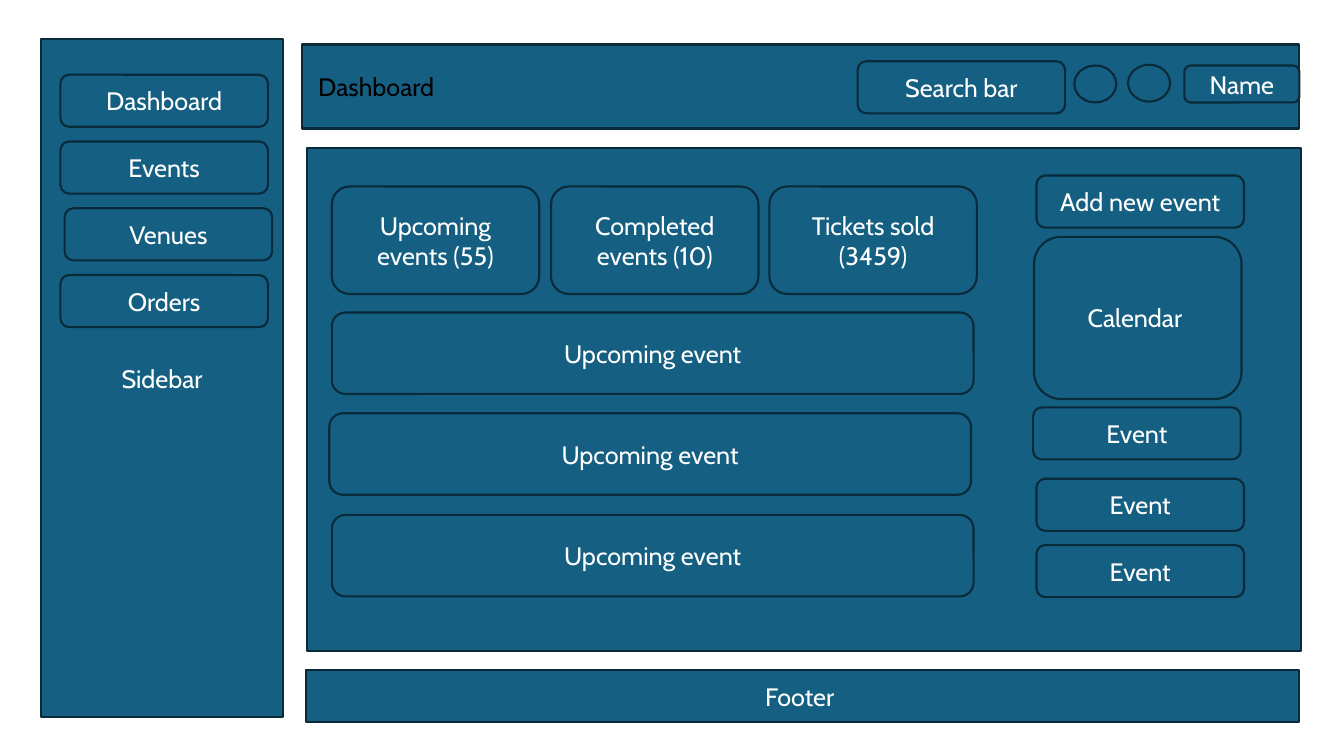
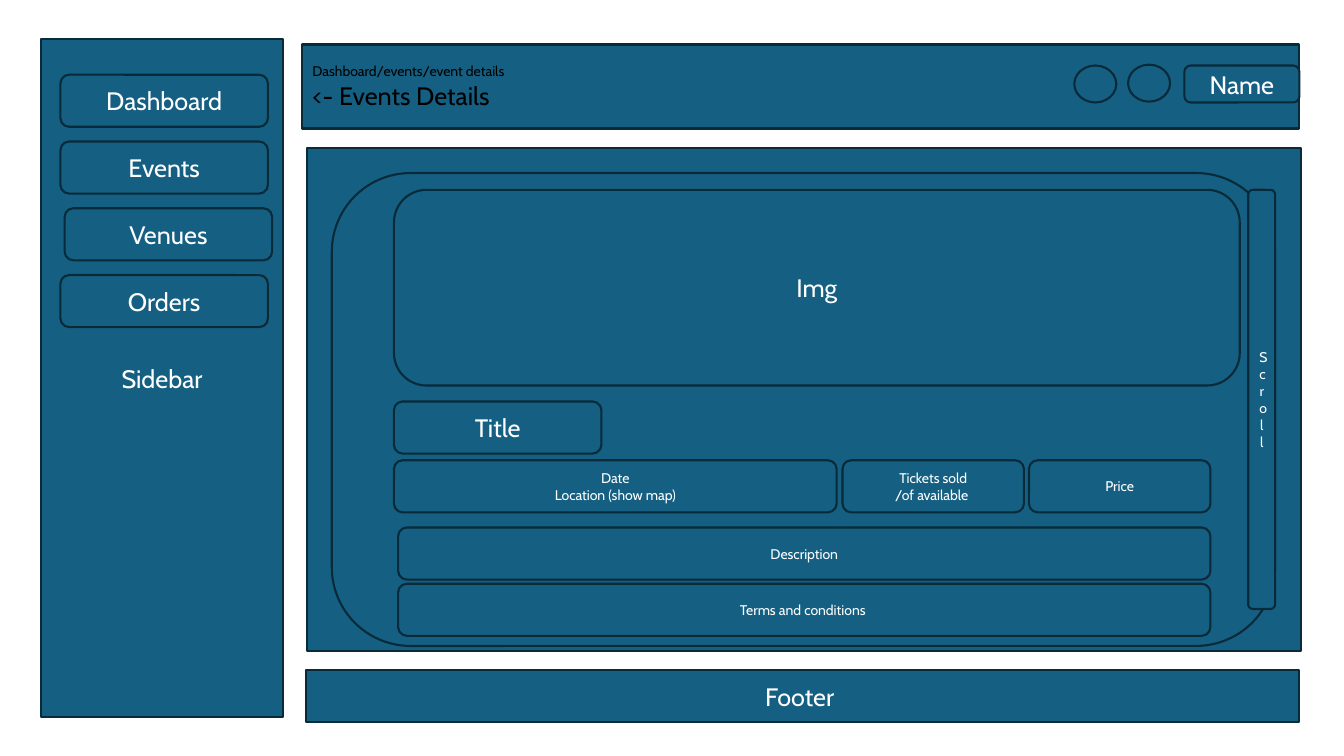
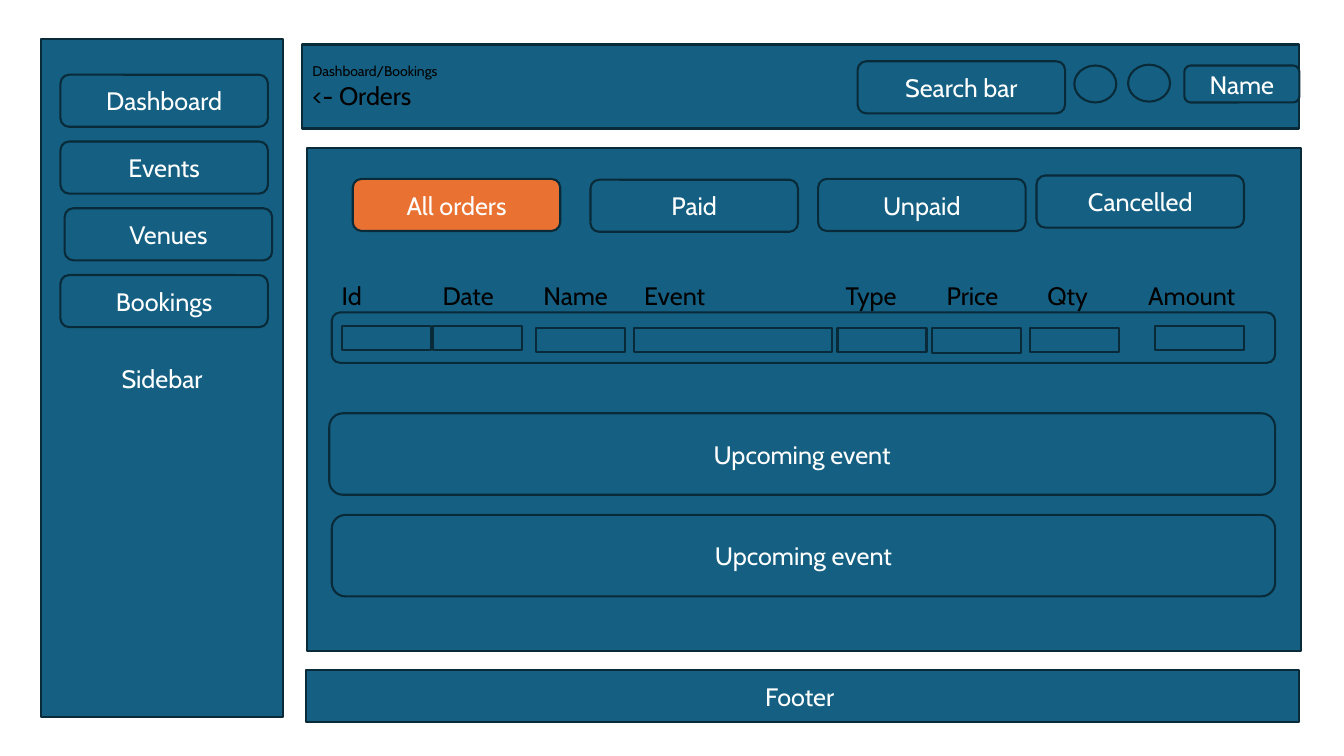
from lxml import etree
from pptx import Presentation
from pptx.dml.color import RGBColor
from pptx.enum.shapes import MSO_SHAPE
from pptx.enum.text import MSO_ANCHOR, MSO_AUTO_SIZE, PP_ALIGN
from pptx.oxml.ns import qn
from pptx.util import Inches, Pt

RECTANGLE = MSO_SHAPE.RECTANGLE
ROUNDED = MSO_SHAPE.ROUNDED_RECTANGLE
OVAL = MSO_SHAPE.OVAL
LEFT = PP_ALIGN.LEFT
CENTER = PP_ALIGN.CENTER
MIDDLE = MSO_ANCHOR.MIDDLE
NO_AUTOFIT = MSO_AUTO_SIZE.NONE

BLUE = RGBColor(0x15, 0x60, 0x82)
NAVY = RGBColor(0x09, 0x2A, 0x39)
ORANGE = RGBColor(0xE9, 0x71, 0x32)
WHITE = RGBColor(0xFF, 0xFF, 0xFF)
BLACK = RGBColor(0x00, 0x00, 0x00)
FONT = "Cabin"
BODY = 18
SMALL = 10

presentation = Presentation()
presentation.slide_width = Inches(13.333)
presentation.slide_height = Inches(7.5)
COLUMN = presentation.slide_width / 160
ROW = presentation.slide_height / 90
TITLE_ONLY = presentation.slide_layouts[5]

BUTTON_WIDTH, BUTTON_HEIGHT = 24.7, 6.2
BAR_HEIGHT = 9.7
CONTENT_LEFT = 39.5
CONTENT_WIDTH = 112.3
BAR_TOPS = [37.2, 49.2, 61.3]
RIGHT_LEFT = 123.4


def write(shape, text, sizes, color, alignment):
    shape.text_frame.text = text
    shape.text_frame.word_wrap = True
    for paragraph, size in zip(shape.text_frame.paragraphs, sizes):
        paragraph.alignment = alignment
        for run in paragraph.runs:
            run.font.name = FONT
            run.font.size = Pt(size)
            run.font.color.rgb = color


def add_box(slide, left, top, width=BUTTON_WIDTH, height=BUTTON_HEIGHT,
            text="", size=BODY, kind=ROUNDED, fill=BLUE):
    shape = slide.shapes.add_shape(
        kind, round(left * COLUMN), round(top * ROW),
        round(width * COLUMN), round(height * ROW))
    shape.shadow.inherit = False
    shape.fill.solid()
    shape.fill.fore_color.rgb = fill
    shape.line.color.rgb = NAVY
    shape.line.width = Pt(1.5)
    shape.text_frame.vertical_anchor = MIDDLE
    write(shape, text, [size, size], WHITE, CENTER)


screens = [
    (" Dashboard", [BODY], "Orders", True),
    ("Dashboard/events/event details\n<- Events Details", [SMALL, BODY], "Orders", False),
    ("Dashboard/Bookings\n<- Orders", [SMALL, BODY], "Bookings", True),
]
for heading, sizes, last_link, has_search in screens:
    slide = presentation.slides.add_slide(TITLE_ONLY)
    header = slide.shapes.title
    header.left, header.top = round(36 * COLUMN), round(5.3 * ROW)
    header.width, header.height = round(118.7 * COLUMN), round(10 * ROW)
    header.fill.solid()
    header.fill.fore_color.rgb = BLUE
    header.line.color.rgb = NAVY
    header.line.width = Pt(1.5)
    header.text_frame.vertical_anchor = MIDDLE
    header.text_frame.auto_size = NO_AUTOFIT
    write(header, heading, sizes, BLACK, LEFT)

    add_box(slide, 4.9, 4.6, 28.8, 80.8, "Sidebar", kind=RECTANGLE)
    add_box(slide, 36.4, 79.8, 118.3, BUTTON_HEIGHT, "Footer ", kind=RECTANGLE)
    add_box(slide, 36.6, 17.6, 118.3, 59.9, kind=RECTANGLE)
    for index, link in enumerate(["Dashboard", "Events", "Venues", last_link]):
        add_box(slide, 7.7 if link == "Venues" else 7.2, 8.9 + 7.95 * index, text=link)
    if has_search:
        add_box(slide, 102.1, 7.3, text="Search bar")
    for left, top in [(127.9, 7.8), (134.3, 7.7)]:
        add_box(slide, left, top, 5, 4.4, kind=OVAL)
    add_box(slide, 141, 7.8, 13.7, 4.4, "Name")

dashboard, details, orders = presentation.slides

for left, label in [(39.5, "Upcoming events (55)"), (65.6, "Completed events (10)"),
                    (91.6, "Tickets sold (3459)")]:
    add_box(dashboard, left, 22.2, height=12.8, text=label)
for left, top in zip([CONTENT_LEFT, 39.2, CONTENT_LEFT], BAR_TOPS):
    add_box(dashboard, left, top, 76.4, BAR_HEIGHT, "Upcoming event")
add_box(dashboard, RIGHT_LEFT, 20.9, text="Add new event")
add_box(dashboard, 123.1, 28.2, height=19.3, text="Calendar ")
for left, top in [(123, 48.5), (RIGHT_LEFT, 57), (RIGHT_LEFT, 64.9)]:
    add_box(dashboard, left, top, text="Event")

add_box(details, CONTENT_LEFT, 20.6, CONTENT_WIDTH, 56.3)
add_box(details, 46.9, 22.6, 100.7, 23.3, "Img")
add_box(details, 46.9, 47.8, text="Title")
for left, top, width, label in [
    (46.9, 54.8, 52.7, "Date\nLocation (show map)"),
    (100.3, 54.8, 21.6, "Tickets sold\n/of available "),
    (122.5, 54.8, 21.6, "Price"),
    (47.4, 62.8, 96.7, "Description"),
    (47.4, 69.5, 96.7, "Terms and conditions "),
]:
    add_box(details, left, top, width, text=label, size=SMALL)
add_box(details, 148.6, 22.6, 3.2, 49.9, "Scroll", SMALL)

for left, top, label, fill in [
    (42, 21.3, "All orders", ORANGE),
    (70.3, 21.4, "Paid", BLUE),
    (97.4, 21.3, "Unpaid", BLUE),
    (RIGHT_LEFT, 20.9, "Cancelled", BLUE),
]:
    add_box(orders, left, top, text=label, fill=fill)
add_box(orders, CONTENT_LEFT, BAR_TOPS[0], CONTENT_WIDTH, 6)
for left, top in zip([39.2, CONTENT_LEFT], BAR_TOPS[1:]):
    add_box(orders, left, top, CONTENT_LEFT + CONTENT_WIDTH - left, BAR_HEIGHT, "Upcoming event")
for left, top, width in [
    (40.7, 38.8, 10.6), (51.6, 38.8, 10.6), (63.8, 39, 10.6), (75.5, 39, 23.6),
    (99.7, 39, 10.6), (111, 39.1, 10.6), (122.6, 39, 10.6), (137.5, 38.8, 10.6),
]:
    add_box(orders, left, top, width, 2.9, kind=RECTANGLE)

column_labels = orders.shapes.add_textbox(
    round(CONTENT_LEFT * COLUMN), round(32.8 * ROW), round(111.4 * COLUMN), round(4.8 * ROW))
write(column_labels, "Id\tDate\tName\tEvent\t\tType\tPrice \tQty\tAmount", [BODY], BLACK, LEFT)
properties = column_labels.text_frame.paragraphs[0]._p.get_or_add_pPr()
tab_list = etree.SubElement(properties, qn("a:tabLst"))
for stop in range(1, 9):
    etree.SubElement(tab_list, qn("a:tab"), pos=str(Inches(stop)), algn="l")

presentation.save("out.pptx")
